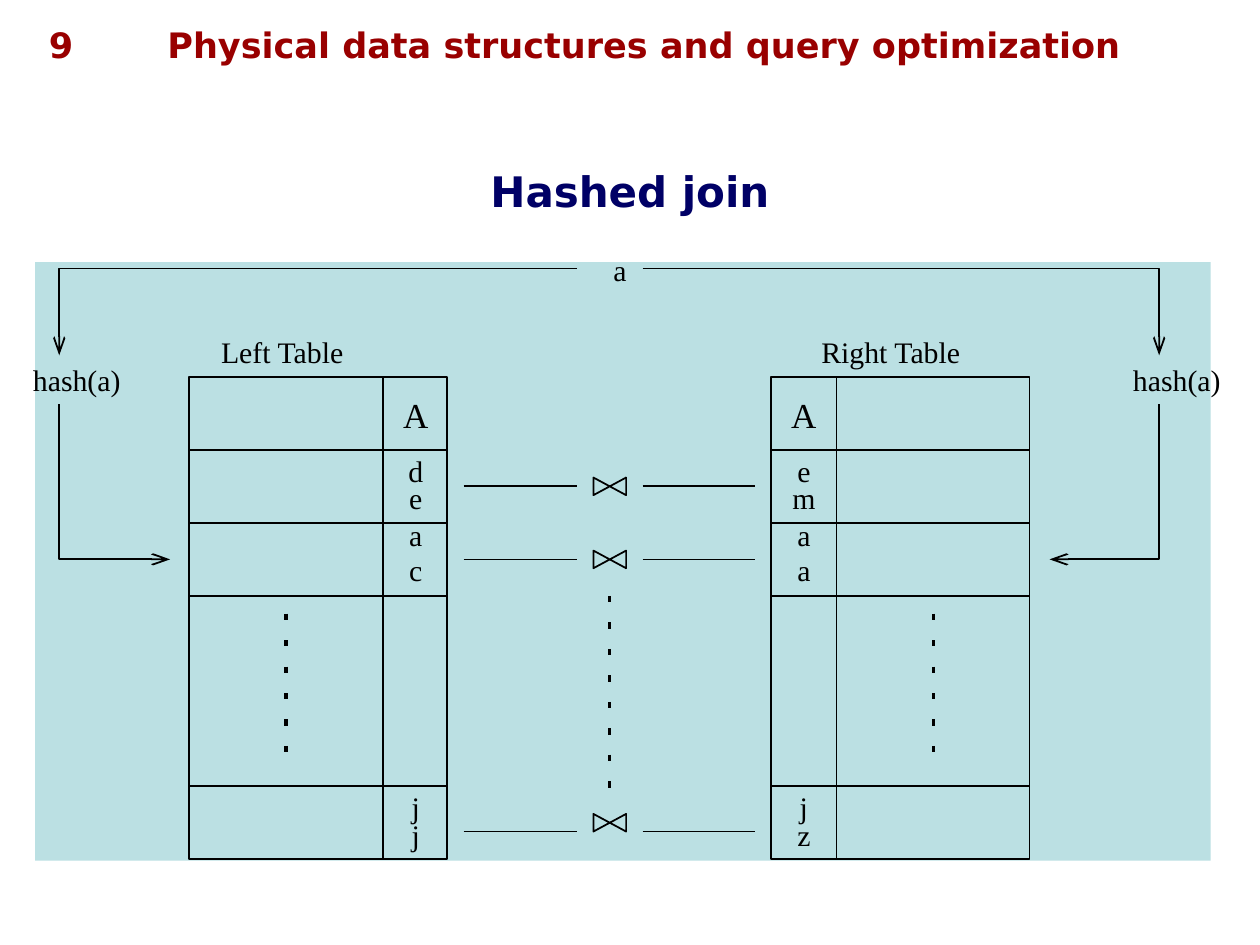
from dataclasses import dataclass

from lxml.etree import SubElement
from pptx import Presentation
from pptx.dml.color import RGBColor
from pptx.enum.shapes import MSO_CONNECTOR as Connector, MSO_SHAPE as Shape
from pptx.enum.text import MSO_ANCHOR as Anchor, PP_ALIGN as Align
from pptx.oxml.ns import qn
from pptx.util import Inches, Pt


@dataclass(frozen=True)
class Theme:
    header: RGBColor = RGBColor(0x99, 0x00, 0x00)
    title: RGBColor = RGBColor(0x00, 0x00, 0x66)
    panel: RGBColor = RGBColor(0xBB, 0xE0, 0xE3)
    ink: RGBColor = RGBColor(0x00, 0x00, 0x00)
    heading_font: str = "DejaVu Sans"
    label_font: str = "Times New Roman"
    header_size: float = 20
    title_size: float = 24
    label_size: float = 17
    column_size: float = 20
    line: float = 1
    dash: float = 1.87


@dataclass(frozen=True)
class HashTable:
    name: str
    name_center: float
    name_width: float
    left: float
    divider: float
    key_center: float
    dots: float
    keys: str


THEME = Theme()
TABLE_TOP, TABLE_WIDTH, TABLE_HEIGHT = 2.99, 2.05, 3.83
ROW_LINES = (3.57, 4.15, 4.73, 6.24)
KEY_TOPS = (3.59, 3.81, 4.1, 4.38, 6.26, 6.48)
LETTER_WIDTHS = {"d": 0.12, "m": 0.19, "j": 0.07}
JOIN_CENTER = 4.84
JOIN_ROWS = ((3.86, 3.86), (4.44, 4.44), (6.53, 6.6))  # bow tie, line
DASH_STEP, DASH_LENGTH = 0.21, 0.05
TABLES = (
    HashTable("Left Table", 2.24, 0.99, 1.5, 3.04, 3.3, 2.27, "deacjj"),
    HashTable("Right Table", 7.07, 1.12, 6.12, 6.64, 6.38, 7.41, "emaajz"),
)

Point = tuple[float, float]


def style_text(paragraph, font: str, size: float, color: RGBColor, bold: bool = False) -> None:
    paragraph.font.name = font
    paragraph.font.size = Pt(size)
    paragraph.font.color.rgb = color
    paragraph.font.bold = bold


def add_header(slide, text: str, left: float, width: float, align: Align) -> None:
    box = slide.shapes.add_textbox(Inches(left), Inches(0.14), Inches(width), Inches(0.44))
    box.text_frame.word_wrap = True
    box.text_frame.text = text
    paragraph = box.text_frame.paragraphs[0]
    paragraph.alignment = align
    style_text(paragraph, THEME.heading_font, THEME.header_size, THEME.header, True)


def add_title(slide, text: str) -> None:
    title = slide.shapes.title
    title.left, title.top = Inches(0), Inches(1.24)
    title.width, title.height = Inches(10), Inches(0.54)
    title.text_frame.text = text
    title.text_frame.vertical_anchor = Anchor.MIDDLE
    paragraph = title.text_frame.paragraphs[0]
    paragraph.alignment = Align.CENTER
    style_text(paragraph, THEME.heading_font, THEME.title_size, THEME.title, True)


def add_label(slide, text: str, center: float, top: float, width: float,
              size: float = THEME.label_size, height: float = 0.28) -> None:
    box = slide.shapes.add_textbox(
        Inches(center - width / 2), Inches(top), Inches(width), Inches(height))
    frame = box.text_frame
    frame.margin_left = frame.margin_right = frame.margin_top = frame.margin_bottom = 0
    frame.word_wrap = False
    frame.text = text
    frame.paragraphs[0].alignment = Align.CENTER
    style_text(frame.paragraphs[0], THEME.label_font, size, THEME.ink)


def style_outline(shape) -> None:
    shape.shadow.inherit = False
    shape.fill.background()
    shape.line.color.rgb = THEME.ink
    shape.line.width = Pt(THEME.line)


def add_line(slide, start: Point, end: Point, width: float = THEME.line) -> None:
    line = slide.shapes.add_connector(
        Connector.STRAIGHT, *(Inches(value) for value in (*start, *end)))
    line.line.color.rgb = THEME.ink
    line.line.width = Pt(width)
    SubElement(line.element.spPr, qn("a:effectLst"))


def add_path(slide, points: list[Point], closed: bool = False):
    (x, y), *rest = [(Inches(x), Inches(y)) for x, y in points]
    builder = slide.shapes.build_freeform(x, y, scale=1.0)
    builder.add_line_segments(rest, close=closed)
    shape = builder.convert_to_shape()
    style_outline(shape)
    return shape


def add_arrow(slide, points: list[Point]) -> None:
    arrow = add_path(slide, points)
    SubElement(arrow.line._get_or_add_ln(), qn("a:tailEnd"), type="arrow", w="med", len="lg")


def add_dots(slide, x: float, top: float, count: int) -> None:
    """Draw a vertical ellipsis out of short dashes."""
    for index in range(count):
        y = top + index * DASH_STEP
        add_line(slide, (x, y), (x, y + DASH_LENGTH), THEME.dash)


def add_panel(slide) -> None:
    panel = slide.shapes.add_shape(
        Shape.RECTANGLE, Inches(0.28), Inches(2.08), Inches(9.33), Inches(4.75))
    panel.shadow.inherit = False
    panel.fill.solid()
    panel.fill.fore_color.rgb = THEME.panel
    panel.line.fill.background()


def add_hash_table(slide, table: HashTable) -> None:
    frame = slide.shapes.add_shape(
        Shape.RECTANGLE, Inches(table.left), Inches(TABLE_TOP),
        Inches(TABLE_WIDTH), Inches(TABLE_HEIGHT))
    style_outline(frame)
    for y in ROW_LINES:
        add_line(slide, (table.left, y), (table.left + TABLE_WIDTH, y))
    add_line(slide, (table.divider, TABLE_TOP), (table.divider, TABLE_TOP + TABLE_HEIGHT))
    add_dots(slide, table.dots, 4.87, 6)
    add_label(slide, table.name, table.name_center, 2.65, table.name_width)
    add_label(slide, "A", table.key_center, 3.12, 0.2, THEME.column_size, 0.33)
    for key, top in zip(table.keys, KEY_TOPS):
        add_label(slide, key, table.key_center, top, LETTER_WIDTHS.get(key, 0.11))


def add_joins(slide) -> None:
    left, right = JOIN_CENTER - 0.13, JOIN_CENTER + 0.13
    for tie_y, line_y in JOIN_ROWS:
        top, bottom = tie_y - 0.07, tie_y + 0.07
        add_path(slide, [(left, top), (left, bottom), (right, top), (right, bottom)], closed=True)
        for start, end in ((3.68, 4.58), (5.1, 5.99)):
            add_line(slide, (start, line_y), (end, line_y))
    add_dots(slide, JOIN_CENTER, 4.73, 8)


def add_hash_flow(slide, inner: float, outer: float, target: float, label_center: float) -> None:
    """Draw the route from the shared value through hash(a) to a table row."""
    add_arrow(slide, [(inner, 2.13), (outer, 2.13), (outer, 2.82)])
    add_arrow(slide, [(outer, 3.21), (outer, 4.44), (target, 4.44)])
    add_label(slide, "hash(a)", label_center, 2.87, 0.7)


def main() -> None:
    presentation = Presentation()
    presentation.slide_width, presentation.slide_height = Inches(10), Inches(7.5)
    slide = presentation.slides.add_slide(presentation.slide_layouts[5])
    add_header(slide, "Physical data structures and query optimization", 1.23, 8.51, Align.LEFT)
    add_header(slide, "9", 0.13, 0.71, Align.CENTER)
    add_title(slide, "Hashed join")
    add_panel(slide)
    add_hash_flow(slide, inner=4.58, outer=0.47, target=1.35, label_center=0.61)
    add_hash_flow(slide, inner=5.1, outer=9.2, target=8.33, label_center=9.34)
    add_label(slide, "a", 4.92, 2, 0.11)
    for table in TABLES:
        add_hash_table(slide, table)
    add_joins(slide)
    presentation.save("out.pptx")


if __name__ == "__main__":
    main()
